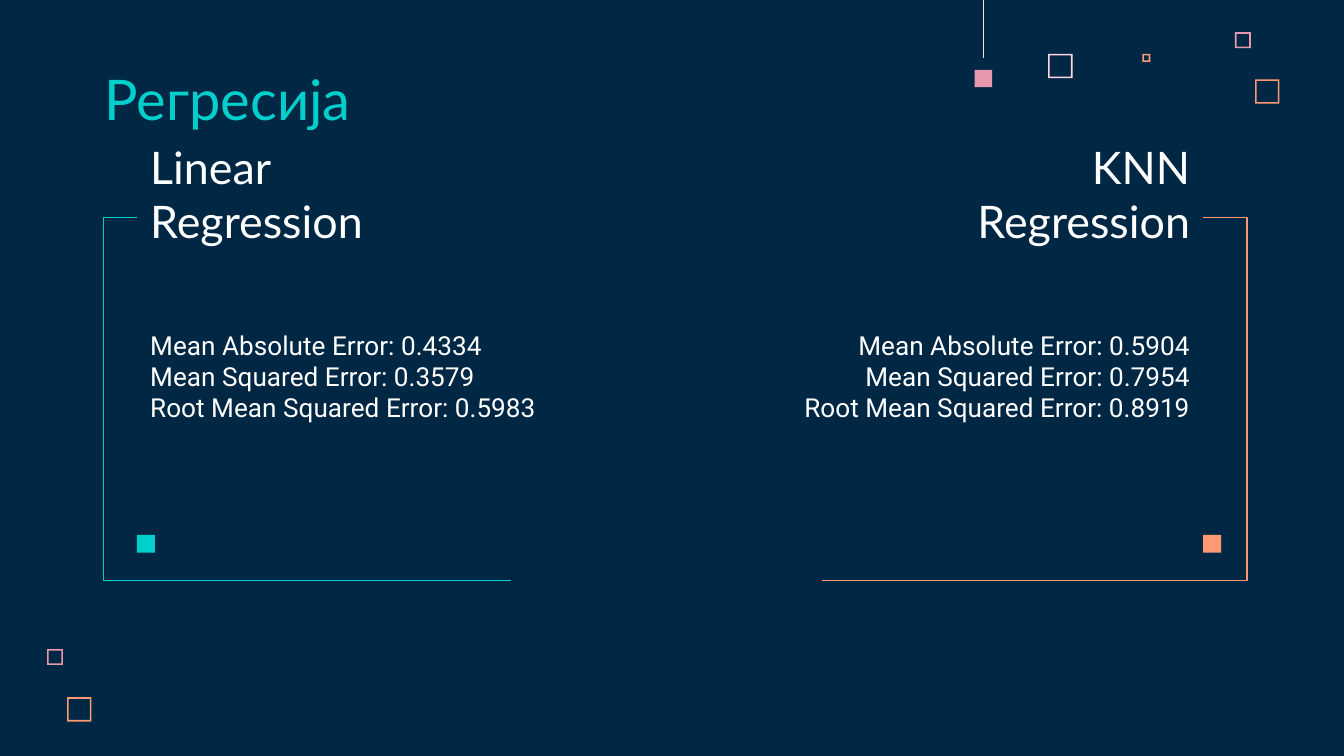
from dataclasses import dataclass

from lxml.etree import SubElement
from pptx import Presentation
from pptx.dml.color import RGBColor
from pptx.enum.shapes import MSO_CONNECTOR, MSO_SHAPE
from pptx.enum.text import MSO_ANCHOR, PP_ALIGN
from pptx.oxml.ns import qn
from pptx.shapes.connector import Connector
from pptx.slide import Slide
from pptx.util import Cm, Pt

NAVY = RGBColor(0x00, 0x28, 0x45)
TEAL = RGBColor(0x00, 0xCF, 0xCC)
ORANGE = RGBColor(0xFF, 0x99, 0x73)
ROSE = RGBColor(0xE8, 0x98, 0xAC)
BLUSH = RGBColor(0xFF, 0xD6, 0xE1)
WHITE = RGBColor(0xFF, 0xFF, 0xFF)

FRAME_THICKNESS = 0.03
BRACKET_TOP, BRACKET_BOTTOM = 4.11, 10.97


@dataclass(frozen=True)
class Square:
    left: float
    top: float
    size: float
    color: RGBColor
    hollow: bool = True


@dataclass(frozen=True)
class Panel:
    """One model's results; edge is the x where its text aligns and its bracket starts."""
    heading: str
    errors: tuple[str, ...]
    edge: float
    spine: float
    bracket_end: float
    heading_width: float
    color: RGBColor
    align: PP_ALIGN


DECORATION = (
    Square(19.81, 1.02, 0.46, BLUSH),
    Square(23.34, 0.61, 0.3, ROSE),
    Square(21.59, 1.02, 0.15, ORANGE),
    Square(23.72, 1.5, 0.46, ORANGE),
    Square(18.42, 1.32, 0.33, ROSE, hollow=False),
    Square(0.89, 12.27, 0.3, ROSE),
    Square(1.27, 13.18, 0.46, ORANGE),
)

PANELS = (
    Panel("Linear Regression",
          ("Mean Absolute Error: 0.4334",
           "Mean Squared Error: 0.3579",
           "Root Mean Squared Error: 0.5983"),
          2.59, 1.96, 9.65, 6.93, TEAL, PP_ALIGN.LEFT),
    Panel("KNN Regression",
          ("Mean Absolute Error: 0.5904",
           "Mean Squared Error: 0.7954",
           "Root Mean Squared Error: 0.8919"),
          22.74, 23.57, 15.54, 5.84, ORANGE, PP_ALIGN.RIGHT),
)


def draw_square(slide: Slide, square: Square) -> None:
    preset = MSO_SHAPE.FRAME if square.hollow else MSO_SHAPE.RECTANGLE
    shape = slide.shapes.add_shape(preset, Cm(square.left), Cm(square.top),
                                   Cm(square.size), Cm(square.size))
    if square.hollow:
        shape.adjustments[0] = FRAME_THICKNESS / square.size
    shape.shadow.inherit = False
    shape.fill.solid()
    shape.fill.fore_color.rgb = square.color
    shape.line.fill.background()


def draw_connector(slide: Slide, kind: MSO_CONNECTOR, start: tuple[float, float],
                   end: tuple[float, float], color: RGBColor, weight: float) -> Connector:
    connector = slide.shapes.add_connector(
        kind, Cm(start[0]), Cm(start[1]), Cm(end[0]), Cm(end[1]))
    connector.line.color.rgb = color
    connector.line.width = Pt(weight)
    SubElement(connector._element.spPr, qn("a:effectLst"))
    return connector


def draw_text(slide: Slide, lines: tuple[str, ...], left: float, top: float,
              width: float, height: float, font: str, size: float, color: RGBColor,
              anchor: MSO_ANCHOR, align: PP_ALIGN = PP_ALIGN.LEFT) -> None:
    frame = slide.shapes.add_textbox(Cm(left), Cm(top), Cm(width), Cm(height)).text_frame
    frame.word_wrap = True
    frame.vertical_anchor = anchor
    frame.margin_left = frame.margin_right = Cm(0.25)
    frame.margin_top = frame.margin_bottom = Cm(0.25)
    frame.text = "\n".join(lines)
    for paragraph in frame.paragraphs:
        paragraph.alignment = align
        paragraph.font.name = font
        paragraph.font.size = Pt(size)
        paragraph.font.color.rgb = color


def draw_bracket(slide: Slide, panel: Panel) -> None:
    """Elbow line whose upright stands outside the span of its two ends."""
    bracket = draw_connector(slide, MSO_CONNECTOR.ELBOW, (panel.edge, BRACKET_TOP),
                             (panel.bracket_end, BRACKET_BOTTOM), panel.color, 0.75)
    bend = (panel.spine - panel.edge) / (panel.bracket_end - panel.edge)
    adjustments = bracket._element.spPr.find(qn("a:prstGeom")).get_or_add_avLst()
    SubElement(adjustments, qn("a:gd"), name="adj1", fmla=f"val {round(bend * 100000)}")


def draw_panel(slide: Slide, panel: Panel) -> None:
    def text_left(width: float) -> float:
        return panel.edge - width if panel.align == PP_ALIGN.RIGHT else panel.edge

    errors_width = 8.23
    draw_text(slide, (panel.heading,), text_left(panel.heading_width), 3.33,
              panel.heading_width, 1.6, "Lato", 24, WHITE, MSO_ANCHOR.BOTTOM, panel.align)
    draw_text(slide, panel.errors, text_left(errors_width), 5.97, errors_width, 3.1,
              "Roboto", 14, WHITE, MSO_ANCHOR.TOP, panel.align)
    draw_bracket(slide, panel)
    draw_square(slide, Square(panel.edge, 10.11, 0.34, panel.color, hollow=False))


def main() -> None:
    presentation = Presentation()
    presentation.slide_width = Cm(25.4)
    presentation.slide_height = Cm(14.29)
    slide = presentation.slides.add_slide(presentation.slide_layouts[6])
    slide.background.fill.solid()
    slide.background.fill.fore_color.rgb = NAVY

    for square in DECORATION:
        draw_square(slide, square)
    draw_connector(slide, MSO_CONNECTOR.STRAIGHT, (18.59, 0), (18.59, 1.09), BLUSH, 0.5)
    draw_text(slide, ("Регресија",), 1.73, 1.14, 17.09, 1.6,
              "Lato", 30, TEAL, MSO_ANCHOR.BOTTOM)
    for panel in PANELS:
        draw_panel(slide, panel)

    presentation.save("out.pptx")


if __name__ == "__main__":
    main()
